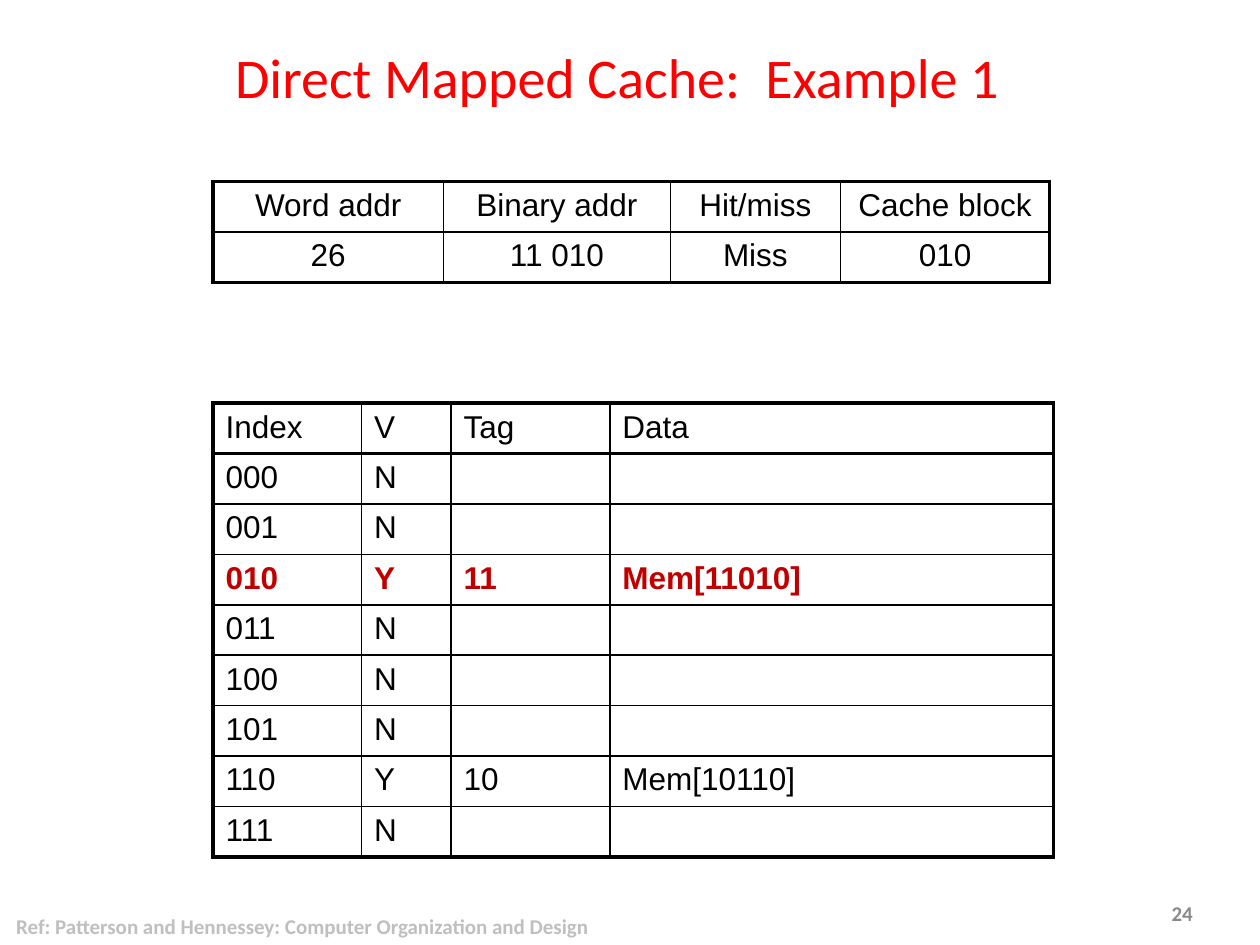
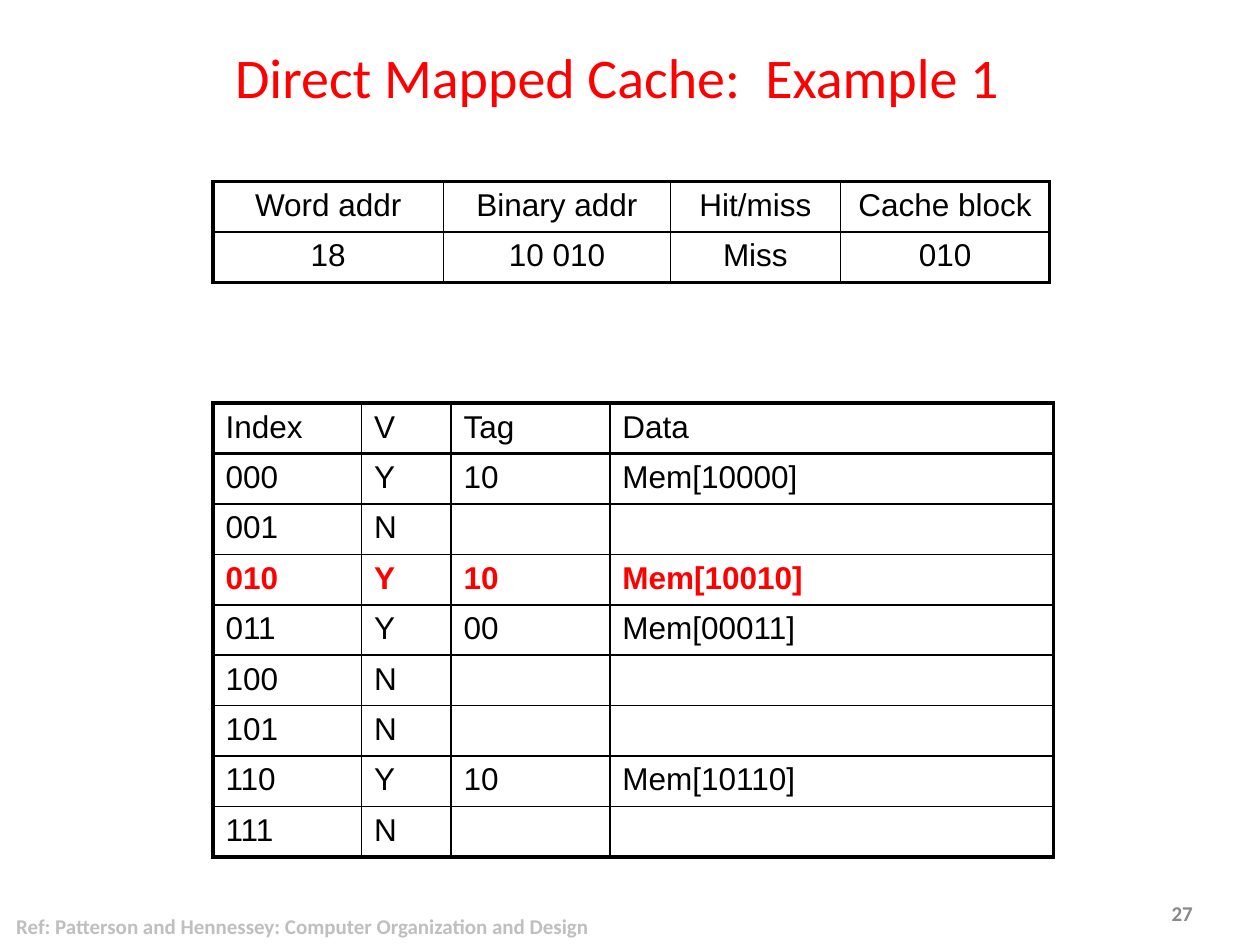
from lxml import etree
from pptx import Presentation
from pptx.dml.color import RGBColor
from pptx.enum.text import MSO_ANCHOR, PP_ALIGN
from pptx.oxml.ns import qn
from pptx.util import Inches, Pt

LEFT = PP_ALIGN.LEFT
CENTER = PP_ALIGN.CENTER
MIDDLE = MSO_ANCHOR.MIDDLE

COLORS = {
    "title": "FF0000",
    "text": "000000",
    "border": "000000",
    "dark_red": "C00000",
    "bright_red": "FF0000",
    "number": "898989",
    "reference": "BFBFBF",
}

WIDTH = Inches(10)
HEIGHT = Inches(7.5)
COLUMN = WIDTH / 100
ROW = Inches(0.4)
TITLE_ONLY = 5

OUTER, HEADER, INNER = 2.25, 1.5, 1
TABLE_LEFT = 16.9
ACCESS_TOP, CACHE_TOP = 3.6, 8
ACCESS_COLUMNS = (18.3, 18, 13.5, 16.6)
CACHE_COLUMNS = (11.8, 7.1, 12.6, 35.2)
ACCESS_HEADER = ("Word addr", "Binary addr", "Hit/miss", "Cache block")
CACHE_HEADER = ("Index", "V", "Tag", "Data")
TITLE = "Direct Mapped Cache:  Example 1"
REFERENCE = "Ref: Patterson and Hennessey: Computer Organization and Design"

EXAMPLES = (
    {
        "number": "24",
        "access": ("26", "11 010", "Miss", "010"),
        "tags": {"010": "11", "110": "10"},
        "highlight": "dark_red",
    },
    {
        "number": "27",
        "access": ("18", "10 010", "Miss", "010"),
        "tags": {"000": "10", "010": "10", "011": "00", "110": "10"},
        "highlight": "bright_red",
    },
)


def grid_area(left, top, width, height):
    return (round(left * COLUMN), round(top * ROW),
            round(width * COLUMN), round(height * ROW))


def write_text(frame, text, size=18, font="Arial", color="text",
               bold=False, align=LEFT):
    para = frame.paragraphs[0]
    para.alignment = align
    span = para.add_run()
    span.text = text
    span.font.size = Pt(size)
    span.font.name = font
    span.font.bold = bold
    span.font.color.rgb = RGBColor.from_string(COLORS[color])


def add_title(page):
    title = page.shapes.title
    title.left, title.top, title.width, title.height = grid_area(3.9, 0.53, 90.2, 1.98)
    title.text_frame.vertical_anchor = MIDDLE
    write_text(title.text_frame, TITLE, size=32, font="Calibri",
               color="title", align=CENTER)


def add_label(page, area, text, color):
    box = page.shapes.add_textbox(*grid_area(*area))
    frame = box.text_frame
    frame.word_wrap = True
    frame.vertical_anchor = MIDDLE
    write_text(frame, text, size=12, font="Calibri", color=color, bold=True)


def set_border(cell, side, width):
    properties = cell._tc.get_or_add_tcPr()
    line = etree.SubElement(properties, qn(f"a:ln{side}"), w=str(Pt(width)))
    fill = etree.SubElement(line, qn("a:solidFill"))
    etree.SubElement(fill, qn("a:srgbClr"), val=COLORS["border"])


def horizontal_border(edge, row_count):
    if edge in (0, row_count):
        return OUTER
    return HEADER if edge == 1 else INNER


def vertical_border(edge, column_count):
    return OUTER if edge in (0, column_count) else INNER


def format_cell(cell, row, column, row_count, column_count):
    set_border(cell, "L", vertical_border(column, column_count))
    set_border(cell, "R", vertical_border(column + 1, column_count))
    set_border(cell, "T", horizontal_border(row, row_count))
    set_border(cell, "B", horizontal_border(row + 1, row_count))
    cell.fill.background()
    cell.margin_left = cell.margin_right = Inches(0.1)
    cell.margin_top = Inches(0.05)
    cell.margin_bottom = 0


def add_grid(page, top, widths, rows, align=LEFT, marked=None, highlight="text"):
    area = grid_area(TABLE_LEFT, top, sum(widths), len(rows))
    table = page.shapes.add_table(len(rows), len(widths), *area).table
    table.first_row = False
    table.horz_banding = False
    for column, width in zip(table.columns, widths):
        column.width = round(width * COLUMN)
    for row, values in enumerate(rows):
        table.rows[row].height = ROW
        is_marked = values[0] == marked
        for column, text in enumerate(values):
            cell = table.cell(row, column)
            format_cell(cell, row, column, len(rows), len(widths))
            if text:
                write_text(cell.text_frame, text, align=align, bold=is_marked,
                           color=highlight if is_marked else "text")


def cache_rows(tags):
    rows = [CACHE_HEADER]
    for block in range(8):
        index = f"{block:03b}"
        tag = tags.get(index)
        rows.append((index, "Y", tag, f"Mem[{tag}{index}]") if tag
                    else (index, "N", "", ""))
    return rows


def add_example(deck, example):
    page = deck.slides.add_slide(deck.slide_layouts[TITLE_ONLY])
    access = example["access"]
    add_label(page, (92, 17.75, 6, 0.75), example["number"], "number")
    add_title(page)
    add_grid(page, CACHE_TOP, CACHE_COLUMNS, cache_rows(example["tags"]),
             marked=access[-1], highlight=example["highlight"])
    add_grid(page, ACCESS_TOP, ACCESS_COLUMNS, (ACCESS_HEADER, access), align=CENTER)
    add_label(page, (0.3, 17.88, 47.6, 1), REFERENCE, "reference")


def main():
    deck = Presentation()
    deck.slide_width = WIDTH
    deck.slide_height = HEIGHT
    for example in EXAMPLES:
        add_example(deck, example)
    deck.save("out.pptx")


if __name__ == "__main__":
    main()
